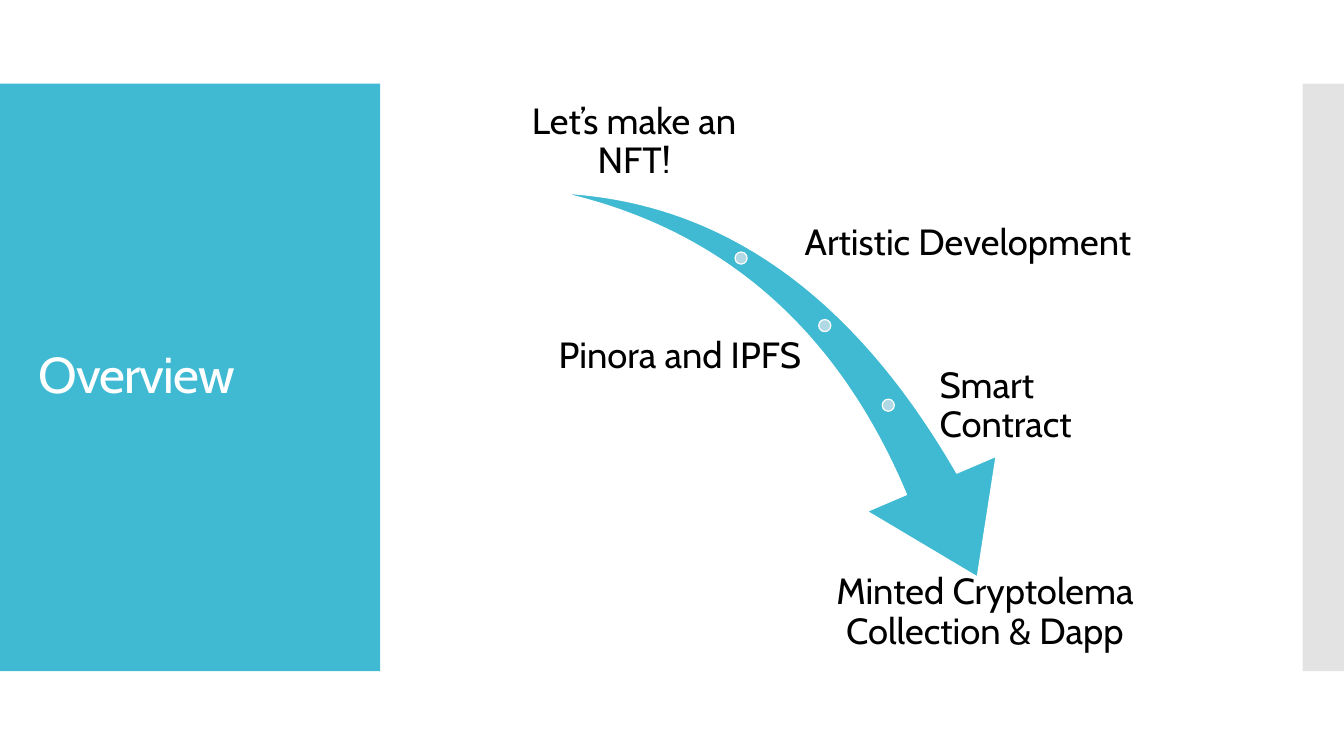
from lxml import etree
from pptx import Presentation, util as u
from pptx.dml.color import RGBColor
from pptx.enum import shapes, text
from pptx.oxml.ns import qn

HUES = {"teal": "40BAD2", "grey": "C8C8C8", "pale": "B0D9E5",
        "white": "FFFFFF", "black": "000000"}
KIND = shapes.MSO_SHAPE
ALIGN = text.PP_ALIGN
ANCHOR = text.MSO_ANCHOR


def hue(name):
    """Return the named colour."""
    return RGBColor.from_string(HUES[name])


def assign(target, values):
    """Set each attribute in a dict of format values."""
    for name, value in values.items():
        setattr(target, name, value)


class Deck:
    """Hold the text style and the current slide."""

    font = "Cabin"
    inset = 0.04
    edge = 0.85

    def __init__(self, wide, high):
        """Start a deck with one title-only slide."""
        self.show = Presentation()
        assign(self.show, {"slide_width": u.Inches(wide),
                           "slide_height": u.Inches(high)})
        self.slide = self.show.slides.add_slide(self.show.slide_layouts[5])

    def phrase(self, frame, words, size, color, align, anchor):
        """Fill a text frame with one styled paragraph."""
        assign(frame, {"word_wrap": True, "vertical_anchor": anchor,
                       "auto_size": text.MSO_AUTO_SIZE.NONE})
        para = frame.paragraphs[0]
        assign(para, {"alignment": align, "line_spacing": 0.9})
        run = para.add_run()
        run.text = words
        assign(run.font, {"name": self.font, "size": u.Pt(size)})
        run.font.color.rgb = hue(color)

    def shape(self, kind, box, fill, line=None):
        """Add a flat preset shape."""
        item = self.slide.shapes.add_shape(kind, *map(u.Inches, box))
        item.shadow.inherit = False
        item.fill.solid()
        item.fill.fore_color.rgb = hue(fill)
        if line:
            item.line.color.rgb = hue(line)
            item.line.width = u.Pt(self.edge)
        else:
            item.line.fill.background()
        return item

    def panel(self, box, fill, alpha=None):
        """Add a plain panel behind the title."""
        item = self.shape(KIND.RECTANGLE, box, fill)
        if alpha:
            tint = next(item.element.iter(qn("a:srgbClr")))
            etree.SubElement(tint, qn("a:alpha"), val=str(alpha * 1000))
        self.slide.shapes.title.element.addprevious(item.element)

    def title(self, words, box):
        """Place and style the slide title."""
        item = self.slide.shapes.title
        sides = ("left", "top", "width", "height")
        assign(item, dict(zip(sides, map(u.Inches, box))))
        self.phrase(item.text_frame, words, 36, "white",
                    ALIGN.LEFT, ANCHOR.MIDDLE)
        next(item.element.iter(qn("a:rPr"))).set("spc", "-60")

    def swoosh(self, box, turn, bends):
        """Add the curved arrow."""
        item = self.shape(KIND.SWOOSH_ARROW, box, "teal", "white")
        item.rotation = turn
        for index, bend in enumerate(bends):
            item.adjustments[index] = bend

    def dot(self, left, top):
        """Add a step marker on the arrow."""
        self.shape(KIND.OVAL, (left, top, 0.12, 0.12), "pale", "white")

    def label(self, words, box, align, anchor):
        """Add a step label."""
        frame = self.slide.shapes.add_textbox(*map(u.Inches, box)).text_frame
        sides = ("left", "top", "right", "bottom")
        assign(frame, {f"margin_{side}": u.Inches(self.inset)
                       for side in sides})
        self.phrase(frame, words, 26, "black", align, anchor)


def main():
    """Build the overview slide."""
    deck = Deck(13.33, 7.5)
    deck.panel((0, 0.83, 3.77, 5.83), "teal")
    deck.panel((12.92, 0.83, 0.41, 5.83), "grey", 50)
    deck.title("Overview", (0.28, 1.23, 3.22, 5.03))
    deck.swoosh((5.47, 2.06, 4.83, 3.37), 73.3, (0.16, 0.31))
    for spot in ((7.29, 2.5), (8.12, 3.17), (8.75, 3.96)):
        deck.dot(*spot)
    steps = (
        ("Let’s make an NFT!", 5.15, 0.94, 2.28, ALIGN.CENTER, ANCHOR.BOTTOM),
        ("Artistic Development", 7.94, 1.97, 3.33, ALIGN.LEFT, ANCHOR.MIDDLE),
        ("Pinora and IPFS", 5.34, 3.09, 2.65, ALIGN.RIGHT, ANCHOR.MIDDLE),
        ("Smart Contract", 9.28, 3.58, 2.03, ALIGN.LEFT, ANCHOR.MIDDLE),
        ("Minted Cryptolema Collection & Dapp", 8.23, 5.65, 3.08,
         ALIGN.CENTER, ANCHOR.TOP),
    )
    for words, left, top, wide, align, anchor in steps:
        deck.label(words, (left, top, wide, 0.9), align, anchor)
    deck.show.save("out.pptx")


main()
